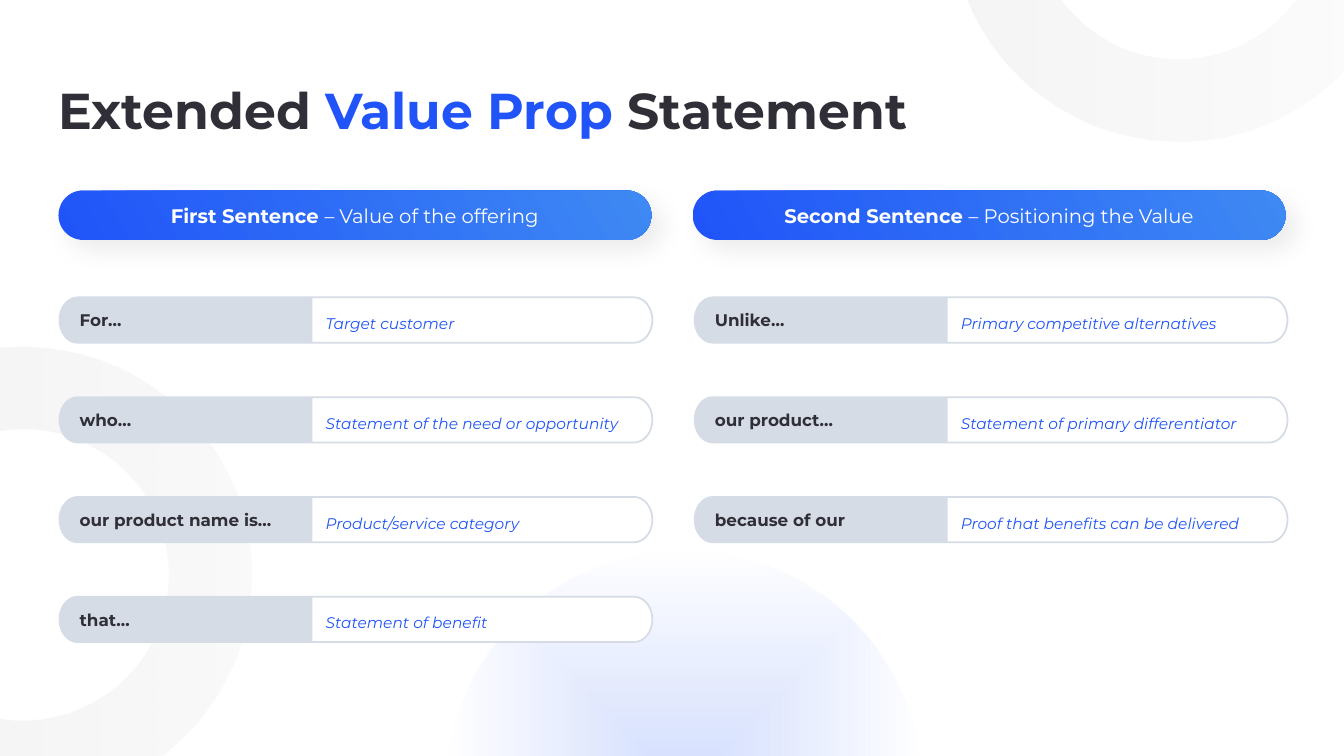
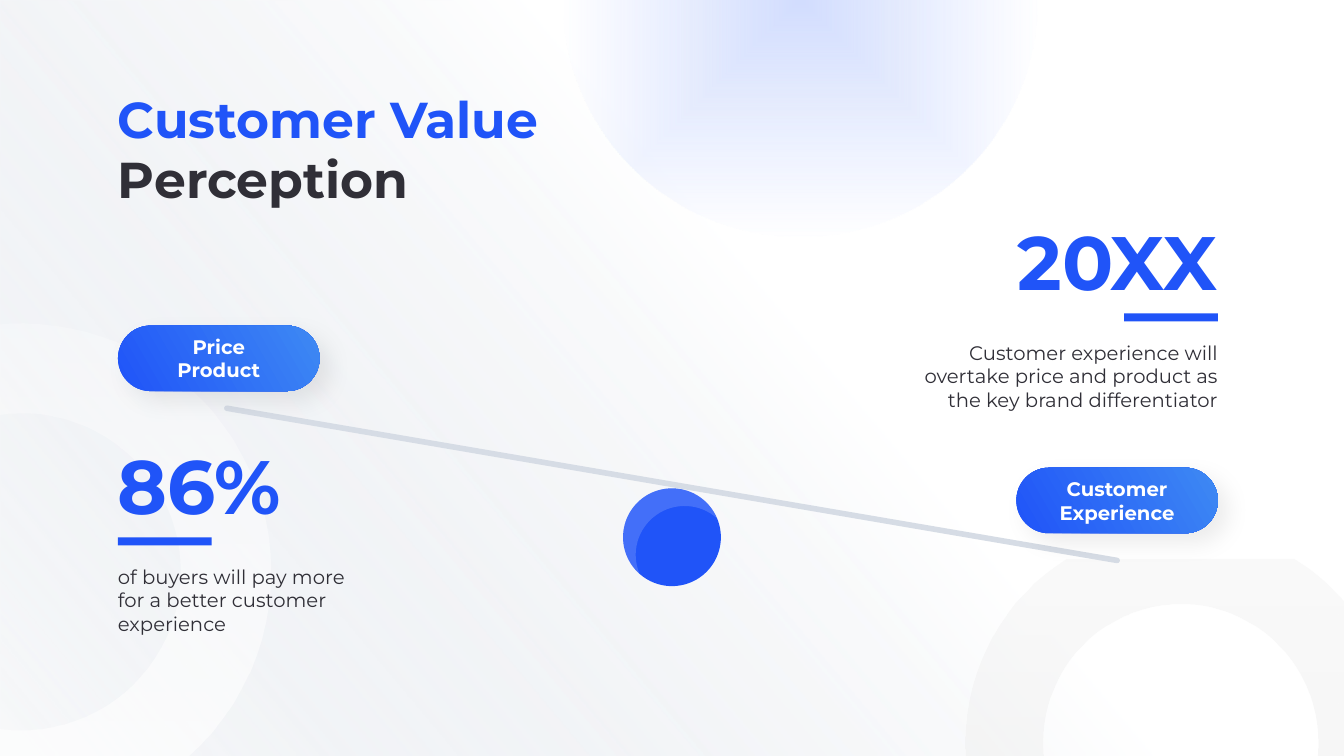
import math

import lxml.etree
import pptx
import pptx.dml.color
import pptx.enum.shapes
import pptx.enum.text
import pptx.oxml.ns
import pptx.util

Inches = pptx.util.Inches
RGBColor = pptx.dml.color.RGBColor
Shapes = pptx.enum.shapes.MSO_SHAPE
Align = pptx.enum.text.PP_ALIGN
Anchor = pptx.enum.text.MSO_ANCHOR
qn = pptx.oxml.ns.qn

# Shared look
FONT = "Montserrat"
BLUE = RGBColor(0x20, 0x54, 0xF8)
LIGHT_BLUE = RGBColor(0x3E, 0x89, 0xF3)
PALE_BLUE = RGBColor(0xD2, 0xDD, 0xFE)
DARK = RGBColor(0x30, 0x2F, 0x37)
SILVER = RGBColor(0xD6, 0xDC, 0xE5)
PALE_GREY = RGBColor(0xF2, 0xF2, 0xF2)
WHITE = RGBColor(0xFF, 0xFF, 0xFF)
PILL_STOPS = [(0, BLUE, 100), (100, LIGHT_BLUE, 100)]
GLOW_STOPS = [(0, PALE_BLUE, 100), (100, PALE_BLUE, 0)]
GLOW_SIZE = 4.71
WIDTH, HEIGHT = 13.33, 7.5


def paint(shape, stops, angle=None, line=None, shadow=False):
    """Fill with (position, colour, opacity) stops; no angle means from the centre."""
    shape.shadow.inherit = False
    properties = shape._element.spPr
    if len(stops) == 1:
        shape.fill.solid()
        shape.fill.fore_color.rgb = stops[0][1]
    else:
        shape.fill.gradient()
        for gradient_stop, (position, color, _) in zip(shape.fill.gradient_stops, stops):
            gradient_stop.position = position / 100
            gradient_stop.color.rgb = color
        if angle is None:
            linear = properties.find(".//" + qn("a:lin"))
            centre = lxml.etree.Element(qn("a:path"), path="shape")
            lxml.etree.SubElement(centre, qn("a:fillToRect"), l="50000", t="50000", r="50000", b="50000")
            linear.getparent().replace(linear, centre)
        else:
            shape.fill.gradient_angle = (360 - angle) % 360
    for color_element, (_, _, opacity) in zip(list(properties.iter(qn("a:srgbClr"))), stops):
        if opacity < 100:
            lxml.etree.SubElement(color_element, qn("a:alpha"), val=str(opacity * 1000))
    if line is None:
        shape.line.fill.background()
    else:
        shape.line.color.rgb = line
        shape.line.width = pptx.util.Pt(1.25)
    if shadow:
        outer = lxml.etree.SubElement(
            properties.find(qn("a:effectLst")), qn("a:outerShdw"),
            blurRad=str(pptx.util.Pt(17)), dist=str(pptx.util.Pt(10)),
            dir=str(45 * 60000), algn="tl", rotWithShape="0")
        black = lxml.etree.SubElement(outer, qn("a:srgbClr"), val="000000")
        lxml.etree.SubElement(black, qn("a:alpha"), val="8000")


def write(shape, runs, size, align=Align.LEFT, anchor=Anchor.TOP, left_inset=0, italic=False):
    """Write (text, colour, bold) runs in one paragraph."""
    frame = shape.text_frame
    frame.word_wrap = True
    frame.auto_size = pptx.enum.text.MSO_AUTO_SIZE.NONE
    frame.vertical_anchor = anchor
    frame.margin_left = Inches(left_inset)
    frame.margin_right = frame.margin_top = frame.margin_bottom = 0
    paragraph = frame.paragraphs[0]
    paragraph.alignment = align
    for text, color, bold in runs:
        for number, text_line in enumerate(text.split("\v")):
            if number:
                paragraph.add_line_break()
            run = paragraph.add_run()
            run.text = text_line
            run.font.name = FONT
            run.font.size = pptx.util.Pt(size)
            run.font.color.rgb = color
            run.font.bold = bold
            run.font.italic = italic


presentation = pptx.Presentation()
presentation.slide_width, presentation.slide_height = Inches(WIDTH), Inches(HEIGHT)
layout = presentation.slide_layouts[5]
statement_slide, perception_slide = [presentation.slides.add_slide(layout) for _ in range(2)]

# Wash and glows
wash = perception_slide.shapes.add_shape(Shapes.RECTANGLE, 0, 0, Inches(WIDTH), Inches(HEIGHT))
paint(wash, [(41, WHITE, 100), (98, SILVER, 20)], 140)
for slide, left, top in [(statement_slide, 4.43, 5.46), (perception_slide, 5.58, -2.36)]:
    glow = slide.shapes.add_shape(
        Shapes.OVAL, Inches(left), Inches(top), Inches(GLOW_SIZE), Inches(GLOW_SIZE))
    paint(glow, GLOW_STOPS)

# Titles, in front of the wash
titles = [
    (statement_slide, (0.58, 0.58, 12.17, 1), Anchor.MIDDLE,
     [("Extended ", DARK, True), ("Value Prop ", BLUE, True), ("Statement", DARK, True)]),
    (perception_slide, (1.17, 0.87, 6.08, 1), Anchor.TOP,
     [("Customer Value ", BLUE, True), ("Perception", DARK, True)]),
]
for slide, box, anchor, runs in titles:
    title = slide.shapes.title
    title.left, title.top, title.width, title.height = map(Inches, box)
    write(title, runs, 36, anchor=anchor)
    slide.shapes._spTree.append(title._element)

# Curved outlines: slide, first points, arcs, last points, paint options, label
# An arc is centre x, centre y, radius x, radius y, start and stop degrees
outlines = []

# Rings cut off at a distance behind their centre, facing along an axis
rings = [
    (statement_slide, 0.23, 5.7, 2.26, 1.44, 0.23, 0, PALE_GREY, 70, 39, 0),
    (statement_slide, 11.69, -0.86, 2.26, 1.44, 0.23, 90, PALE_GREY, 75, 20, 0),
    (perception_slide, 11.71, 7.35, 2.13, 1.36, 0.21, -90, PALE_GREY, 35, 60, 90),
    (perception_slide, 0.22, 5.67, 2.46, 1.57, 0.25, 0, WHITE, 30, 76, 90),
]
for slide, x, y, outer, inner, cut, axis, color, first, last, angle in rings:
    outer_reach, inner_reach = [180 - math.degrees(math.acos(cut / radius)) for radius in (outer, inner)]
    arcs = [(x, y, outer, outer, axis - outer_reach, axis + outer_reach),
            (x, y, inner, inner, axis + inner_reach, axis - inner_reach)]
    options = {"stops": [(0, color, first), (100, color, last)], "angle": angle}
    outlines.append((slide, [], arcs, [], options, None))

# Statement: two columns of rows, each a label half and an answer half
HEADER_LEFT, HEADER_PITCH = 0.58, 6.29
ROW_LEFT, COLUMN_PITCH, COLUMN_WIDTH = 0.59, 6.3, 5.88
ROW_TOP, ROW_PITCH, ROW_HEIGHT = 2.95, 0.99, 0.45
LABEL_WIDTH, END_RADIUS = 2.5, 0.18
columns = [
    ("First Sentence ", "– Value of the offering", [
        ("For…", "Target customer"),
        ("who…", "Statement of the need or opportunity"),
        ("our product name is…", "Product/service category"),
        ("that…", "Statement of benefit"),
    ]),
    ("Second Sentence ", "– Positioning the Value", [
        ("Unlike…", "Primary competitive alternatives"),
        ("our product…", "Statement of primary differentiator"),
        ("because of our", "Proof that benefits can be delivered"),
    ]),
]
answers = []
for column, (name, purpose, rows) in enumerate(columns):
    header = statement_slide.shapes.add_shape(
        Shapes.ROUNDED_RECTANGLE, Inches(HEADER_LEFT + column * HEADER_PITCH), Inches(1.89),
        Inches(COLUMN_WIDTH), Inches(0.49))
    header.adjustments[0] = 0.5
    paint(header, PILL_STOPS, 330, shadow=True)
    write(header, [(name, WHITE, True), (purpose, WHITE, False)], 14, Align.CENTER, Anchor.MIDDLE)

    left = ROW_LEFT + column * COLUMN_PITCH
    split = left + LABEL_WIDTH
    for row, (label, answer) in enumerate(rows):
        top = ROW_TOP + row * ROW_PITCH
        half_height = ROW_HEIGHT / 2
        for text, end, stop, fill in [
                (label, left + END_RADIUS, -270, SILVER),
                (None, left + COLUMN_WIDTH - END_RADIUS, 90, WHITE)]:
            arc = (end, top + half_height, END_RADIUS, half_height, -90, stop)
            outlines.append((statement_slide, [(split, top)], [arc], [(split, top + ROW_HEIGHT)],
                             {"stops": [(0, fill, 100)], "line": SILVER}, text))
        answers.append((answer, split + 0.14, top + 0.13))

# Perception: ball with a lighter crescent
BALL_X, BALL_Y, BALL_RADIUS = WIDTH / 2, 5.33, 0.485
SHADE_X, SHADE_Y = 0.125, 0.175
ball = perception_slide.shapes.add_shape(
    Shapes.OVAL, Inches(BALL_X - BALL_RADIUS), Inches(BALL_Y - BALL_RADIUS),
    Inches(2 * BALL_RADIUS), Inches(2 * BALL_RADIUS))
paint(ball, [(0, BLUE, 100)])
direction = math.degrees(math.atan2(SHADE_Y, SHADE_X))
spread = math.degrees(math.acos(math.hypot(SHADE_X, SHADE_Y) / 2 / BALL_RADIUS))
arcs = [
    (BALL_X, BALL_Y, BALL_RADIUS, BALL_RADIUS, direction - spread, direction + spread - 360),
    (BALL_X + SHADE_X, BALL_Y + SHADE_Y, BALL_RADIUS, BALL_RADIUS,
     direction + 180 - spread, direction + 180 + spread),
]
outlines.append((perception_slide, [], arcs, [], {"stops": [(0, WHITE, 16)]}, None))

# Draw the outlines, with each arc as Bézier curves of at most a quarter turn
for slide, first_points, arcs, last_points, options, label in outlines:
    points, curve_starts = list(first_points), []
    for x, y, radius_x, radius_y, start, stop in arcs:
        count = math.ceil(abs(stop - start) / 90)
        turn = math.radians(stop - start) / count
        handle = 4 / 3 * math.tan(turn / 4)
        for step in range(count + 1):
            angle = math.radians(start) + step * turn
            cosine, sine = math.cos(angle), math.sin(angle)
            for offset in (-handle, 0, handle):
                if 0 <= step + offset / abs(handle) / 2 <= count:
                    points.append((x + radius_x * (cosine - offset * sine),
                                   y + radius_y * (sine + offset * cosine)))
                    if offset == 0 and step < count:
                        curve_starts.append(len(points) - 1)
        if turn < 0:
            # Handles were gated by sign: restore both ends of a clockwise-negative arc
            del points[-(3 * count + 1):], curve_starts[-count:]
            for step in range(count + 1):
                angle = math.radians(start) + step * turn
                cosine, sine = math.cos(angle), math.sin(angle)
                for side in (-1, 0, 1):
                    if 0 <= step + side / 2 <= count:
                        points.append((x + radius_x * (cosine - side * handle * sine),
                                       y + radius_y * (sine + side * handle * cosine)))
                        if side == 0 and step < count:
                            curve_starts.append(len(points) - 1)
    points = [(Inches(x), Inches(y)) for x, y in points + last_points]
    builder = slide.shapes.build_freeform(*points[0])
    builder.add_line_segments(points[1:])
    shape = builder.convert_to_shape()
    segments = list(shape._element.iter(qn("a:moveTo"), qn("a:lnTo")))
    for index in curve_starts:
        curve = lxml.etree.Element(qn("a:cubicBezTo"))
        segments[index + 1].addprevious(curve)
        for segment in segments[index + 1:index + 4]:
            curve.append(segment[0])
            segment.getparent().remove(segment)
    paint(shape, **options)
    if label:
        write(shape, [(label, DARK, True)], 12, anchor=Anchor.MIDDLE, left_inset=0.2)

# Answers
for answer, left, top in answers:
    box = statement_slide.shapes.add_textbox(Inches(left), Inches(top), Inches(3.16), Inches(0.28))
    write(box, [(answer, BLUE, False)], 11, italic=True)
    box.text_frame.paragraphs[0].line_spacing = 1.2

# Seesaw beam
beam = perception_slide.shapes.add_connector(
    pptx.enum.shapes.MSO_CONNECTOR.STRAIGHT, Inches(11.08), Inches(5.56), Inches(2.25), Inches(4.05))
beam.line.color.rgb = SILVER
beam.line.width = pptx.util.Pt(4)
beam.line._ln.set("cap", "rnd")
lxml.etree.SubElement(beam._element.spPr, qn("a:effectLst"))

# Weights on the beam and the facts beside them
MARGIN, RIGHT_EDGE = 1.17, 12.08
PILL_WIDTH, BAR_WIDTH = 2, 0.93
sides = [
    ("Price\vProduct", 3.23, "86%", "of buyers will pay more for a better customer experience",
     4.35, 2.43, Align.LEFT),
    ("Customer Experience", 4.64, "20XX",
     "Customer experience will overtake price and product as the key brand differentiator",
     2.13, 3.12, Align.RIGHT),
]
for weight, weight_top, figure, fact, top, width, align in sides:
    pill_left, bar_left, text_left = [
        MARGIN if align == Align.LEFT else RIGHT_EDGE - length
        for length in (PILL_WIDTH, BAR_WIDTH, width)]
    pill = perception_slide.shapes.add_shape(
        Shapes.ROUNDED_RECTANGLE, Inches(pill_left), Inches(weight_top), Inches(PILL_WIDTH), Inches(0.65))
    pill.adjustments[0] = 0.5
    paint(pill, PILL_STOPS, 330, shadow=True)
    write(pill, [(weight, WHITE, True)], 14, Align.CENTER, Anchor.MIDDLE)
    pill.text_frame.margin_left = pill.text_frame.margin_right = Inches(0.1)
    bar = perception_slide.shapes.add_shape(
        Shapes.RECTANGLE, Inches(bar_left), Inches(top + 0.98), Inches(BAR_WIDTH), Inches(0.08))
    paint(bar, [(0, BLUE, 100)])
    for text, offset, size, color, bold in [(figure, 0, 54, BLUE, True), (fact, 1.25, 14, DARK, False)]:
        box = perception_slide.shapes.add_textbox(
            Inches(text_left), Inches(top + offset), Inches(width), Inches(0.85))
        write(box, [(text, color, bold)], size, align)

presentation.save("out.pptx")
